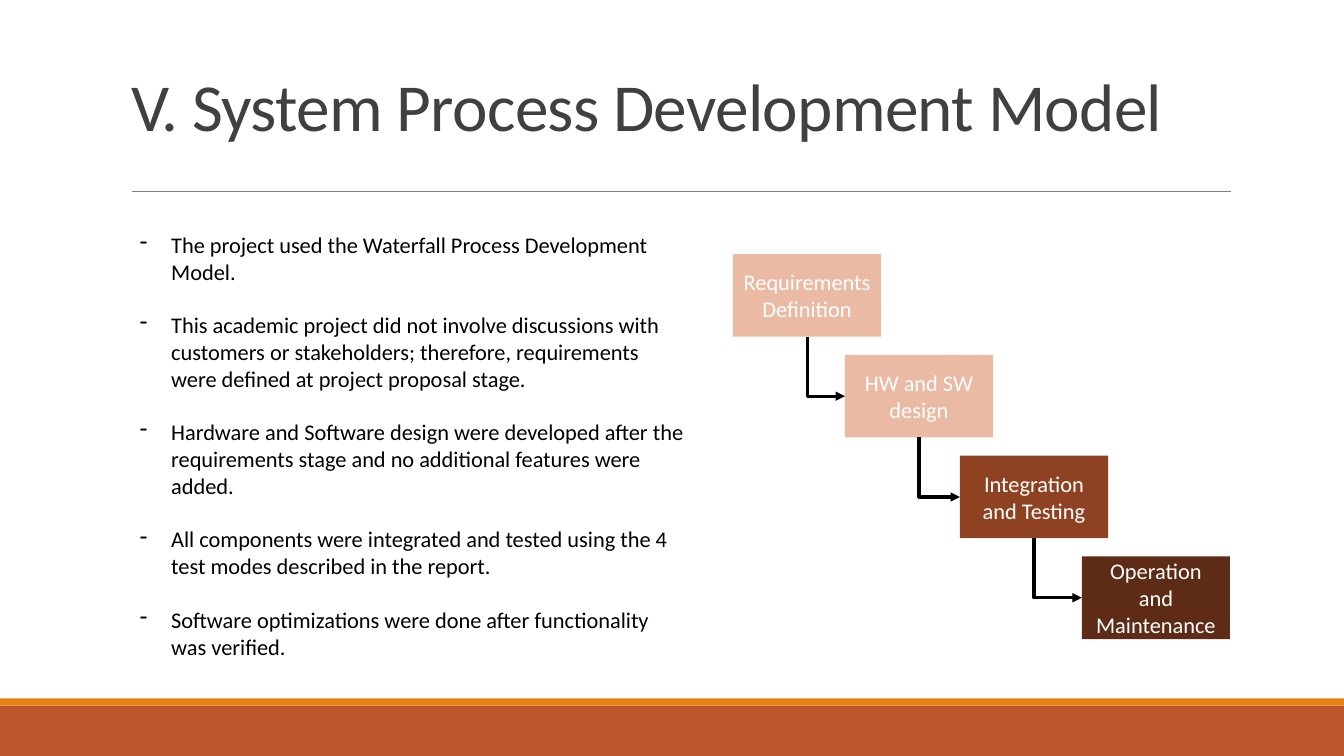
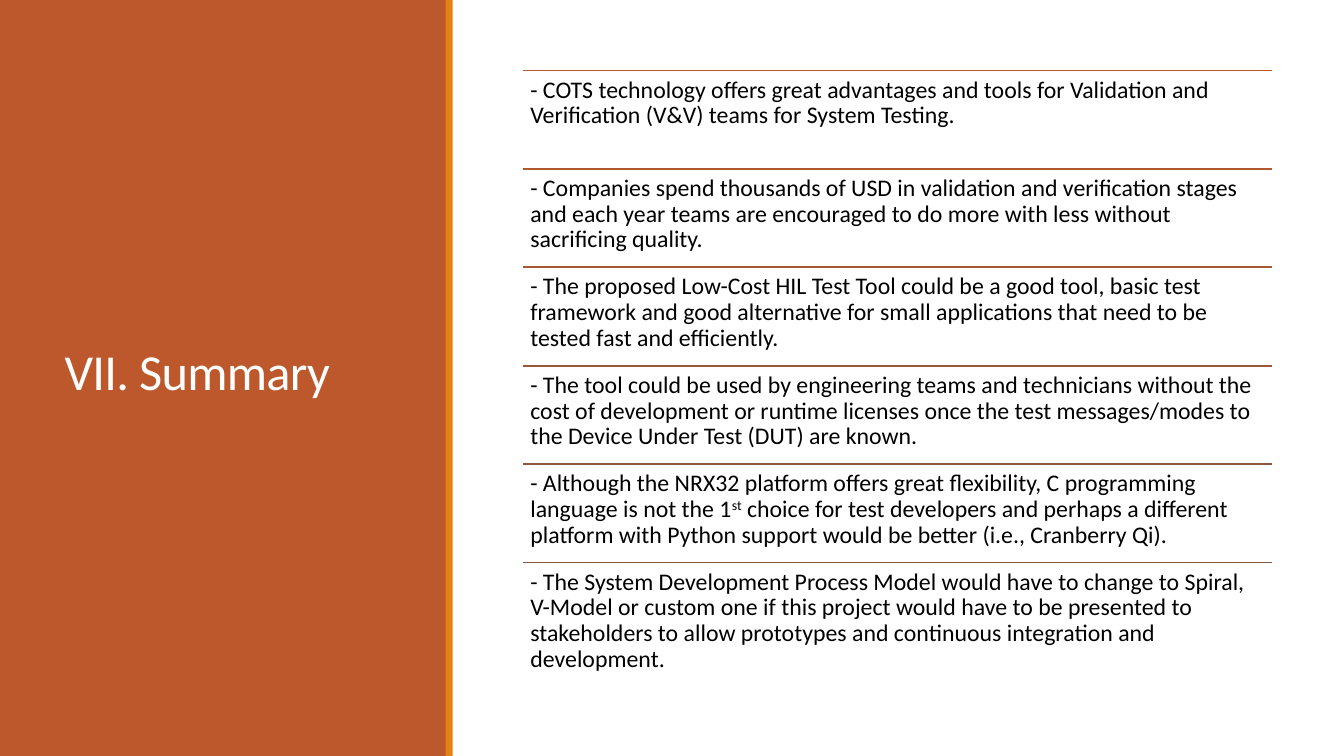
from lxml.etree import SubElement
from pptx import Presentation
from pptx.dml.color import RGBColor
from pptx.enum.shapes import MSO_CONNECTOR, MSO_SHAPE
from pptx.enum.text import MSO_ANCHOR, PP_ALIGN
from pptx.oxml.ns import qn
from pptx.util import Inches, Pt

FONT = "Calibri"
RUST, ORANGE = "BD582C", "E48312"
BLACK, WHITE = "000000", "FFFFFF"


def style_text(paragraph, size, color):
    paragraph.font.name = FONT
    paragraph.font.size = Pt(size)
    paragraph.font.color.rgb = RGBColor.from_string(color)


def style_line(connector, color, width):
    connector.line.color.rgb = RGBColor.from_string(color)
    connector.line.width = Pt(width)
    SubElement(connector._element.spPr, qn("a:effectLst"))


presentation = Presentation()
presentation.slide_width = Inches(13.33)
presentation.slide_height = Inches(7.5)

# Both slides: colour bands and title
slide_styles = [
    {
        "title": "V. System Process Development Model",
        "bounds": (1.2, 0.67, 11, 0.82),
        "size": 48,
        "color": "404040",
        "anchor": MSO_ANCHOR.BOTTOM,
        "bands": [(RUST, 0, 7, 13.33, 0.5), (ORANGE, 0, 6.93, 13.33, 0.07)],
    },
    {
        "title": "VII. Summary",
        "bounds": (0.54, 0.57, 3.37, 6.31),
        "size": 36,
        "color": WHITE,
        "anchor": MSO_ANCHOR.MIDDLE,
        "bands": [(RUST, 0, 0, 4.43, 7.5), (ORANGE, 4.42, 0, 0.07, 7.5)],
    },
]
for style in slide_styles:
    slide = presentation.slides.add_slide(presentation.slide_layouts[5])
    for color, *bounds in style["bands"]:
        band = slide.shapes.add_shape(MSO_SHAPE.RECTANGLE, *map(Inches, bounds))
        band.shadow.inherit = False
        band.fill.solid()
        band.fill.fore_color.rgb = RGBColor.from_string(color)
        band.line.fill.background()

    title = slide.shapes.title
    slide.shapes._spTree.append(title._element)  # bring in front of the bands
    title.left, title.top, title.width, title.height = map(Inches, style["bounds"])
    title.text_frame.text = style["title"]
    title.text_frame.vertical_anchor = style["anchor"]
    paragraph = title.text_frame.paragraphs[0]
    paragraph.alignment = PP_ALIGN.LEFT
    paragraph.line_spacing = 0.85
    style_text(paragraph, style["size"], style["color"])
    paragraph.runs[0]._r.get_or_add_rPr().set("spc", "-50")

model_slide, summary_slide = presentation.slides

# Model slide: rule under the title
rule = model_slide.shapes.add_connector(
    MSO_CONNECTOR.STRAIGHT, Inches(1.31), Inches(1.9), Inches(12.21), Inches(1.9))
style_line(rule, "808080", 0.5)

# Model slide: dashed list
points = [
    "The project used the Waterfall Process Development Model.",
    "This academic project did not involve discussions with customers or "
    "stakeholders; therefore, requirements were defined at project proposal stage.",
    "Hardware and Software design were developed after the requirements stage "
    "and no additional features were added.",
    "All components were integrated and tested using the 4 test modes described "
    "in the report.",
    "Software optimizations were done after functionality was verified.",
]
point_box = model_slide.shapes.add_textbox(
    Inches(1.29), Inches(2.24), Inches(5.63), Inches(4.51))
text_frame = point_box.text_frame
text_frame.word_wrap = True
text_frame.text = "\n".join(points)
for paragraph in text_frame.paragraphs:
    paragraph.space_after = Pt(19)
    properties = paragraph._p.get_or_add_pPr()
    properties.set("marL", str(Inches(0.31)))
    properties.set("indent", str(-Inches(0.31)))
    SubElement(properties, qn("a:buChar")).set("char", "-")
    style_text(paragraph, 16, BLACK)

# Model slide: waterfall steps
STEP_TOP, STEP_PITCH = 2.52, 1
steps = [
    ("Requirements Definition", 7.27, "EABAA5"),
    ("HW and SW design", 8.38, "EABAA5"),
    ("Integration and Testing", 9.52, "8E4221"),
    ("Operation and Maintenance", 10.73, "5E2C16"),
]
step_shapes = []
for index, (text, left, color) in enumerate(steps):
    step = model_slide.shapes.add_shape(
        MSO_SHAPE.RECTANGLE, Inches(left), Inches(STEP_TOP + index * STEP_PITCH),
        Inches(1.47), Inches(0.82))
    step.shadow.inherit = False
    step.fill.solid()
    step.fill.fore_color.rgb = RGBColor.from_string(color)
    step.line.fill.background()
    step.text_frame.word_wrap = True
    step.text_frame.vertical_anchor = MSO_ANCHOR.MIDDLE
    step.text_frame.text = text
    paragraph = step.text_frame.paragraphs[0]
    paragraph.alignment = PP_ALIGN.CENTER
    style_text(paragraph, 16, WHITE)
    step_shapes.append(step)

# Model slide: arrows from the bottom of a step to the left side of the next
for step, next_step in zip(step_shapes, step_shapes[1:]):
    start_x, start_y = step.left + step.width // 2, step.top + step.height
    end_x, end_y = next_step.left, next_step.top + next_step.height // 2
    arrow = model_slide.shapes.add_connector(
        MSO_CONNECTOR.ELBOW, start_x, start_y, end_x, end_y)
    arrow.begin_connect(step, 2)
    arrow.end_connect(next_step, 1)
    # A single bend, down then right, is a turned and mirrored bentConnector2
    across, down = end_x - start_x, end_y - start_y
    arrow.left = (start_x + end_x - down) // 2
    arrow.top = (start_y + end_y - across) // 2
    arrow.width, arrow.height = down, across
    properties = arrow._element.spPr
    properties.find(qn("a:prstGeom")).set("prst", "bentConnector2")
    transform = properties.find(qn("a:xfrm"))
    transform.set("rot", str(270 * 60000))
    transform.set("flipH", "1")
    style_line(arrow, BLACK, 2.25)
    SubElement(arrow.line._get_or_add_ln(), qn("a:tailEnd")).set("type", "triangle")

# Summary slide: ruled statements, with superscripts between bars
LEFT, TOP, WIDTH, PITCH = 5.19, 0.7, 7.43, 0.976
statements = [
    (RUST, "- COTS technology offers great advantages and tools for Validation and "
     "Verification (V&V) teams for System Testing."),
    ("B15831", "- Companies spend thousands of USD in validation and verification "
     "stages and each year teams are encouraged to do more with less without "
     "sacrificing quality."),
    ("A65835", "- The proposed Low-Cost HIL Test Tool could be a good tool, basic "
     "test framework and good alternative for small applications that need to be "
     "tested fast and efficiently."),
    ("9B5739", "- The tool could be used by engineering teams and technicians "
     "without the cost of development or runtime licenses once the test "
     "messages/modes to the Device Under Test (DUT) are known."),
    ("90573D", "- Although the NRX32 platform offers great flexibility, C "
     "programming language is not the 1|st| choice for test developers and perhaps "
     "a different platform with Python support would be better (i.e., Cranberry Qi)."),
    ("865640", "- The System Development Process Model would have to change to "
     "Spiral, V-Model or custom one if this project would have to be presented to "
     "stakeholders to allow prototypes and continuous integration and development."),
]
for index, (color, text) in enumerate(statements):
    top = Inches(TOP + index * PITCH)
    rule = summary_slide.shapes.add_connector(
        MSO_CONNECTOR.STRAIGHT, Inches(LEFT), top, Inches(LEFT + WIDTH), top)
    style_line(rule, color, 1.25)

    height = 1.3 if index == len(statements) - 1 else PITCH
    statement = summary_slide.shapes.add_textbox(
        Inches(LEFT), top, Inches(WIDTH), Inches(height))
    text_frame = statement.text_frame
    text_frame.word_wrap = True
    text_frame.margin_left = text_frame.margin_right = Inches(0.07)
    text_frame.margin_top = text_frame.margin_bottom = Inches(0.07)
    paragraph = text_frame.paragraphs[0]
    paragraph.line_spacing = 0.9
    style_text(paragraph, 17, BLACK)
    for part_index, part in enumerate(text.split("|")):
        run = paragraph.add_run()
        run.text = part
        if part_index % 2:
            run._r.get_or_add_rPr().set("baseline", "30000")

presentation.save("out.pptx")
